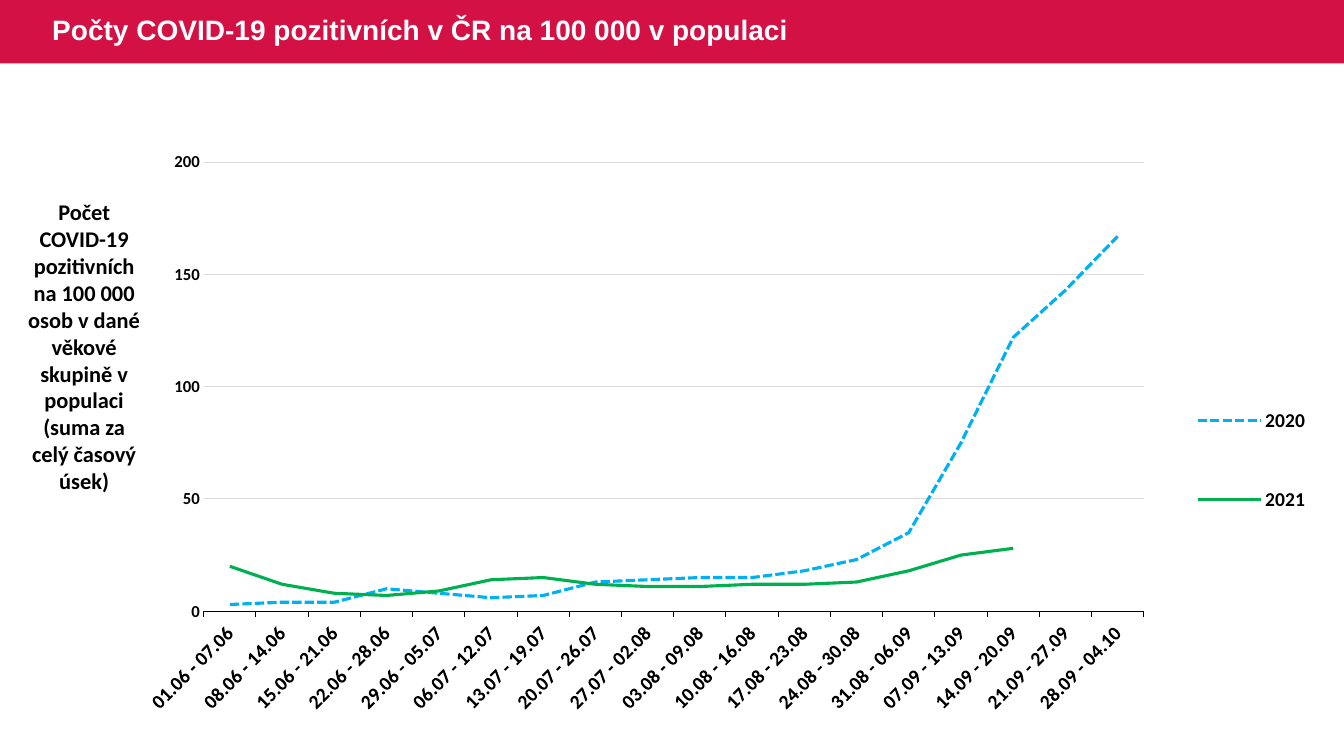
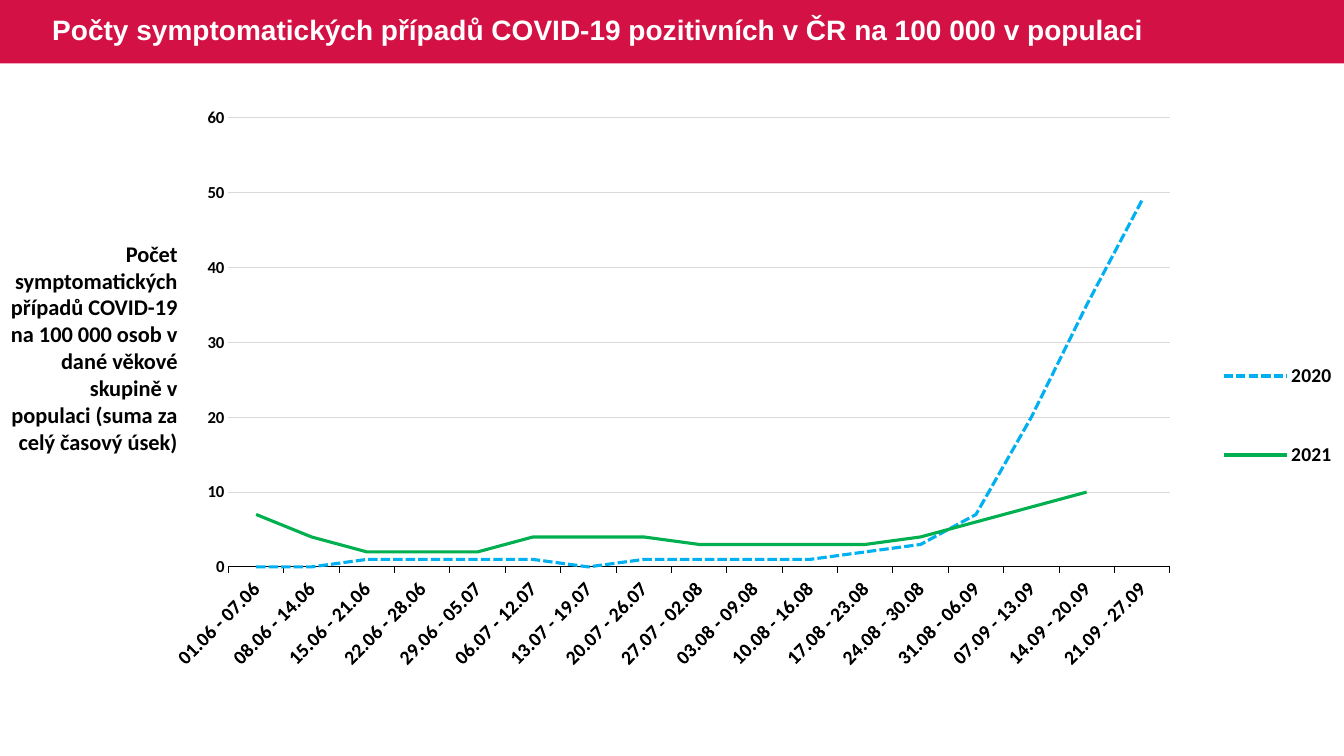
"""Build two slides comparing weekly COVID-19 incidence in 2020 and 2021."""
from lxml import etree
from pptx import Presentation
from pptx.chart.data import CategoryChartData
from pptx.dml.color import RGBColor
from pptx.enum.chart import XL_CHART_TYPE, XL_LEGEND_POSITION, XL_MARKER_STYLE, XL_TICK_MARK
from pptx.enum.dml import MSO_LINE
from pptx.enum.shapes import MSO_SHAPE
from pptx.enum.text import MSO_ANCHOR, PP_ALIGN
from pptx.oxml import parse_xml
from pptx.oxml.ns import nsdecls, qn
from pptx.util import Inches, Pt

LINE = XL_CHART_TYPE.LINE
RIGHT = XL_LEGEND_POSITION.RIGHT
NO_MARKER = XL_MARKER_STYLE.NONE
TICK_NONE, TICK_OUT = XL_TICK_MARK.NONE, XL_TICK_MARK.OUTSIDE
DASH, SOLID = MSO_LINE.SQUARE_DOT, MSO_LINE.SOLID
RECT = MSO_SHAPE.RECTANGLE
MIDDLE = MSO_ANCHOR.MIDDLE
LEFT_AL, CENTER_AL, RIGHT_AL = PP_ALIGN.LEFT, PP_ALIGN.CENTER, PP_ALIGN.RIGHT

COLORS = {"band": "D31145", "title": "FFFFFF", "text": "000000", "grid": "D9D9D9",
          "2020": "00B0F0", "2021": "00B050"}
COLORS = {name: RGBColor.from_string(value) for name, value in COLORS.items()}
DASHES = {"2020": DASH, "2021": SOLID}
PLOT_BOX = (0.045, 0.017, 0.803, 0.759)
LEGEND_BOX = (0.88, 0.34, 0.12, 0.36)
WEEKS = ["01.06 - 07.06", "08.06 - 14.06", "15.06 - 21.06", "22.06 - 28.06", "29.06 - 05.07",
         "06.07 - 12.07", "13.07 - 19.07", "20.07 - 26.07", "27.07 - 02.08", "03.08 - 09.08",
         "10.08 - 16.08", "17.08 - 23.08", "24.08 - 30.08", "31.08 - 06.09", "07.09 - 13.09",
         "14.09 - 20.09", "21.09 - 27.09", "28.09 - 04.10"]

SLIDES = [
    {"title": "Počty COVID-19 pozitivních v ČR na 100 000 v populaci",
     "label": "Počet COVID-19 pozitivních na 100 000 osob v dané věkové skupině "
              "v populaci (suma za celý časový úsek)",
     "label_box": (0.15, 1.92, 1.37, 3.06), "align": CENTER_AL,
     "chart_at": (1.45, 1.51), "max": 200, "major": 50,
     "2020": [3, 4, 4, 10, 8, 6, 7, 13, 14, 15, 15, 18, 23, 35, 75, 122, 143, 167],
     "2021": [20, 12, 8, 7, 9, 14, 15, 12, 11, 11, 12, 12, 13, 18, 25, 28, None, None]},
    {"title": "Počty symptomatických případů COVID-19 pozitivních v ČR na 100 000 v populaci",
     "label": "Počet symptomatických případů COVID-19 na 100 000 osob v dané věkové skupině "
              "v populaci (suma za celý časový úsek)",
     "label_box": (0, 2.33, 1.86, 2.52), "align": RIGHT_AL,
     "chart_at": (1.71, 1.07), "max": 60, "major": 10,
     "2020": [0, 0, 1, 1, 1, 1, 0, 1, 1, 1, 1, 2, 3, 7, 20, 35, 49],
     "2021": [7, 4, 2, 2, 2, 4, 4, 4, 3, 3, 3, 3, 4, 6, 8, 10, None]},
]


def style_font(font, size, color="text", name="Calibri"):
    font.name, font.size, font.bold = name, Pt(size), True
    font.color.rgb = COLORS[color]


def set_layout(parent, index, box, inner=False):
    for old in parent.findall(qn("c:layout")):
        parent.remove(old)
    layout = parse_xml(f"<c:layout {nsdecls('c')}><c:manualLayout/></c:layout>")
    settings = [("layoutTarget", "inner")] if inner else []
    settings += [("xMode", "edge"), ("yMode", "edge"), *zip("xywh", box)]
    for tag, value in settings:
        etree.SubElement(layout[0], qn(f"c:{tag}")).set("val", str(value))
    parent.insert(index, layout)


prs = Presentation()
prs.slide_width, prs.slide_height = Inches(13.33), Inches(7.5)

for spec_row in SLIDES:
    s = prs.slides.add_slide(prs.slide_layouts[6])

    band = s.shapes.add_shape(RECT, 0, 0, prs.slide_width, Inches(0.63))
    band.shadow.inherit = False
    band.fill.solid()
    band.fill.fore_color.rgb = COLORS["band"]
    band.line.fill.background()

    title = s.shapes.add_textbox(Inches(0.42), 0, Inches(12), Inches(0.63))
    tf = title.text_frame
    tf.word_wrap = True
    tf.vertical_anchor = MIDDLE
    p = tf.paragraphs[0]
    p.text, p.alignment, p.line_spacing = spec_row["title"], LEFT_AL, 0.9
    style_font(p.font, 20, "title", "Arial")

    data = CategoryChartData()
    data.categories = WEEKS[:len(spec_row["2020"])]
    for year in DASHES:
        data.add_series(year, spec_row[year])
    left, top = spec_row["chart_at"]
    chart = s.shapes.add_chart(LINE, Inches(left), Inches(top), Inches(11.66), Inches(5.87),
                               data).chart
    style_font(chart.font, 14)
    chart.has_title = False
    chart.plots[0].vary_by_categories = False
    set_layout(chart.plots[0]._element.getparent(), 0, PLOT_BOX, inner=True)

    for series in chart.plots[0].series:
        series.smooth = False
        series.marker.style = NO_MARKER
        series.format.line.width = Pt(2.25)
        series.format.line.color.rgb = COLORS[series.name]
        series.format.line.dash_style = DASHES[series.name]

    weeks = chart.category_axis
    weeks.major_tick_mark, weeks.minor_tick_mark = TICK_OUT, TICK_NONE
    weeks.format.line.width = Pt(0.75)
    weeks.format.line.color.rgb = COLORS["text"]
    style_font(weeks.tick_labels.font, 14)
    weeks._element.find(qn("c:txPr")).find(qn("a:bodyPr")).set("rot", "-2700000")

    counts = chart.value_axis
    counts.minimum_scale, counts.maximum_scale = 0, spec_row["max"]
    counts.major_unit = spec_row["major"]
    counts.major_tick_mark = counts.minor_tick_mark = TICK_NONE
    counts.format.line.fill.background()
    counts.major_gridlines.format.line.width = Pt(0.75)
    counts.major_gridlines.format.line.color.rgb = COLORS["grid"]
    style_font(counts.tick_labels.font, 12)

    chart.has_legend = True
    legend = chart.legend
    legend.position = RIGHT
    legend.include_in_layout = False
    style_font(legend.font, 14)
    set_layout(legend._element, 1, LEGEND_BOX)

    label = s.shapes.add_textbox(*map(Inches, spec_row["label_box"]))
    tf = label.text_frame
    tf.word_wrap = True
    p = tf.paragraphs[0]
    p.text, p.alignment = spec_row["label"], spec_row["align"]
    style_font(p.font, 16)

prs.save("out.pptx")
